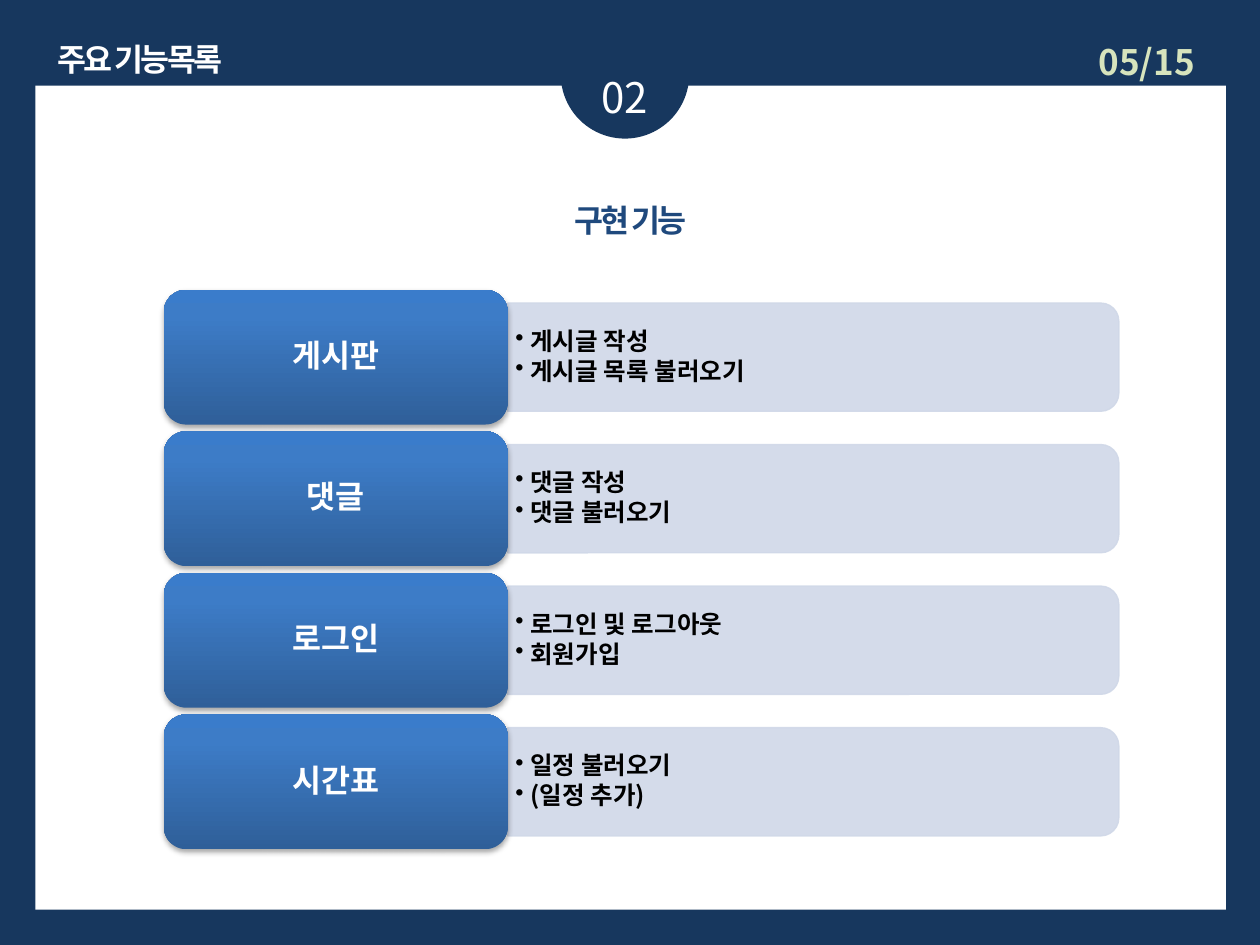
from lxml import etree
from pptx import Presentation
from pptx.dml.color import RGBColor
from pptx.enum.shapes import MSO_SHAPE
from pptx.enum.text import MSO_ANCHOR, PP_ALIGN
from pptx.oxml import parse_xml
from pptx.oxml.ns import nsdecls, qn
from pptx.util import Inches, Pt

FONT = "Noto Sans CJK KR"
NAVY = RGBColor(0x17, 0x37, 0x5E)
BLUE = RGBColor(0x1F, 0x49, 0x7D)
PALE_BLUE = RGBColor(0xD0, 0xD8, 0xE8)
PALE_GREEN = RGBColor(0xD7, 0xE4, 0xBD)
WHITE = RGBColor(0xFF, 0xFF, 0xFF)
BLACK = RGBColor(0, 0, 0)

CARD_GRADIENT = f"""<a:gradFill {nsdecls('a')} rotWithShape="1"><a:gsLst>
<a:gs pos="0"><a:srgbClr val="2F5F99"/></a:gs>
<a:gs pos="80000"><a:srgbClr val="3D7CC7"/></a:gs>
<a:gs pos="100000"><a:srgbClr val="3A7CCB"/></a:gs>
</a:gsLst><a:lin ang="16200000" scaled="0"/></a:gradFill>"""
CARD_SHADOW = f"""<a:outerShdw {nsdecls('a')} blurRad="40000" dist="23000"
dir="5400000" rotWithShape="0"><a:srgbClr val="000000"><a:alpha val="35000"/>
</a:srgbClr></a:outerShdw>"""

FEATURES = [
    ("게시판", ["게시글 작성", "게시글 목록 불러오기"]),
    ("댓글", ["댓글 작성", "댓글 불러오기"]),
    ("로그인", ["로그인 및 로그아웃", "회원가입"]),
    ("시간표", ["일정 불러오기", "(일정 추가)"]),
]


def add_run(paragraph, text, size, color, bold=True, tracking=None):
    run = paragraph.add_run()
    run.text = text
    run.font.size = Pt(size)
    run.font.bold = bold
    run.font.color.rgb = color
    run.font.name = FONT
    properties = run.font._element
    etree.SubElement(properties, qn("a:ea"), typeface=FONT)
    if tracking is not None:
        properties.set("spc", str(int(tracking * 100)))


def set_spacing(paragraph, after_percent):
    paragraph.line_spacing = 0.9
    properties = paragraph._p.get_or_add_pPr()
    after = etree.SubElement(properties, qn("a:spcAft"))
    etree.SubElement(after, qn("a:spcPct"), val=str(after_percent * 1000))


presentation = Presentation()
presentation.slide_width = Inches(10)
presentation.slide_height = Inches(7.5)
slide = presentation.slides.add_slide(presentation.slide_layouts[5])
slide.background.fill.solid()
slide.background.fill.fore_color.rgb = NAVY

# Title
title = slide.shapes.title
title.left, title.top = Inches(0.28), Inches(0.27)
title.width, title.height = Inches(1.66), Inches(0.4)
title.text_frame.word_wrap = False
title.text_frame.vertical_anchor = MSO_ANCHOR.TOP
paragraph = title.text_frame.paragraphs[0]
paragraph.alignment = PP_ALIGN.CENTER
add_run(paragraph, "주요 기능목록", 18, WHITE, tracking=-1.5)

# White page and section badge
for preset, left, top, width, height, color in [
    (MSO_SHAPE.RECTANGLE, 0.28, 0.68, 9.45, 6.54, WHITE),
    (MSO_SHAPE.OVAL, 4.45, 0.08, 1.02, 1.02, NAVY),
]:
    shape = slide.shapes.add_shape(
        preset, Inches(left), Inches(top), Inches(width), Inches(height))
    shape.shadow.inherit = False
    shape.fill.solid()
    shape.fill.fore_color.rgb = color
    shape.line.fill.background()

# Section number, subtitle and page number
for text, left, top, width, height, size, color, bold, tracking, alignment in [
    ("02", 4.37, 0.52, 1.18, 0.5, 24, WHITE, False, None, PP_ALIGN.CENTER),
    ("구현 기능", 2.72, 1.55, 4.57, 0.4, 18, BLUE, True, -1.5, PP_ALIGN.CENTER),
    ("05/15", 8.62, 0.27, 1.1, 0.44, 20, PALE_GREEN, True, None, PP_ALIGN.LEFT),
]:
    box = slide.shapes.add_textbox(
        Inches(left), Inches(top), Inches(width), Inches(height))
    box.text_frame.word_wrap = True
    paragraph = box.text_frame.paragraphs[0]
    paragraph.alignment = alignment
    add_run(paragraph, text, size, color, bold, tracking)

# Feature rows
ROW_TOP, ROW_PITCH = 2.3, 3.37 / 3
CARD_LEFT, CARD_WIDTH, CARD_HEIGHT = 1.3, 2.73, 1.07
BAR_LENGTH, BAR_THICKNESS = 4.85, 0.86
bar_left = CARD_LEFT + CARD_WIDTH

for index, (name, details) in enumerate(FEATURES):
    top = ROW_TOP + index * ROW_PITCH
    middle = top + CARD_HEIGHT / 2

    # Bar, turned so that its rounded end points right
    bar = slide.shapes.add_shape(
        MSO_SHAPE.ROUND_2_SAME_RECTANGLE,
        Inches(bar_left + (BAR_LENGTH - BAR_THICKNESS) / 2),
        Inches(middle - BAR_LENGTH / 2),
        Inches(BAR_THICKNESS), Inches(BAR_LENGTH))
    bar.rotation = 90
    bar.shadow.inherit = False
    bar.fill.solid()
    bar.fill.fore_color.rgb = PALE_BLUE
    bar.line.color.rgb = PALE_BLUE
    bar.line.width = Pt(0.75)
    for color in bar._element.spPr.iter(qn("a:srgbClr")):
        etree.SubElement(color, qn("a:alpha"), val="90000")

    # Bulleted details
    box = slide.shapes.add_textbox(
        Inches(bar_left), Inches(middle - 0.385), Inches(4.81), Inches(0.77))
    frame = box.text_frame
    frame.word_wrap = True
    frame.vertical_anchor = MSO_ANCHOR.MIDDLE
    frame.margin_left = frame.margin_right = Inches(0.06)
    frame.margin_top = frame.margin_bottom = Inches(0.03)
    for number, detail in enumerate(details):
        paragraph = frame.add_paragraph() if number else frame.paragraphs[0]
        paragraph.level = 1
        set_spacing(paragraph, 15)
        properties = paragraph._p.get_or_add_pPr()
        properties.set("marL", str(Inches(0.12)))
        properties.set("indent", str(-Inches(0.12)))
        etree.SubElement(properties, qn("a:buChar"), char="•")
        add_run(paragraph, detail, 14, BLACK)

    # Card with the feature name
    card = slide.shapes.add_shape(
        MSO_SHAPE.ROUNDED_RECTANGLE, Inches(CARD_LEFT), Inches(top),
        Inches(CARD_WIDTH), Inches(CARD_HEIGHT))
    card._element.spPr.append(parse_xml(CARD_GRADIENT))
    card.line.fill.background()
    card.shadow.inherit = False
    card._element.spPr.find(qn("a:effectLst")).append(parse_xml(CARD_SHADOW))
    frame = card.text_frame
    frame.word_wrap = True
    frame.vertical_anchor = MSO_ANCHOR.MIDDLE
    frame.margin_left = frame.margin_right = Inches(0.12)
    frame.margin_top = frame.margin_bottom = Inches(0.09)
    paragraph = frame.paragraphs[0]
    paragraph.alignment = PP_ALIGN.CENTER
    set_spacing(paragraph, 35)
    add_run(paragraph, name, 18, WHITE)

presentation.save("out.pptx")
